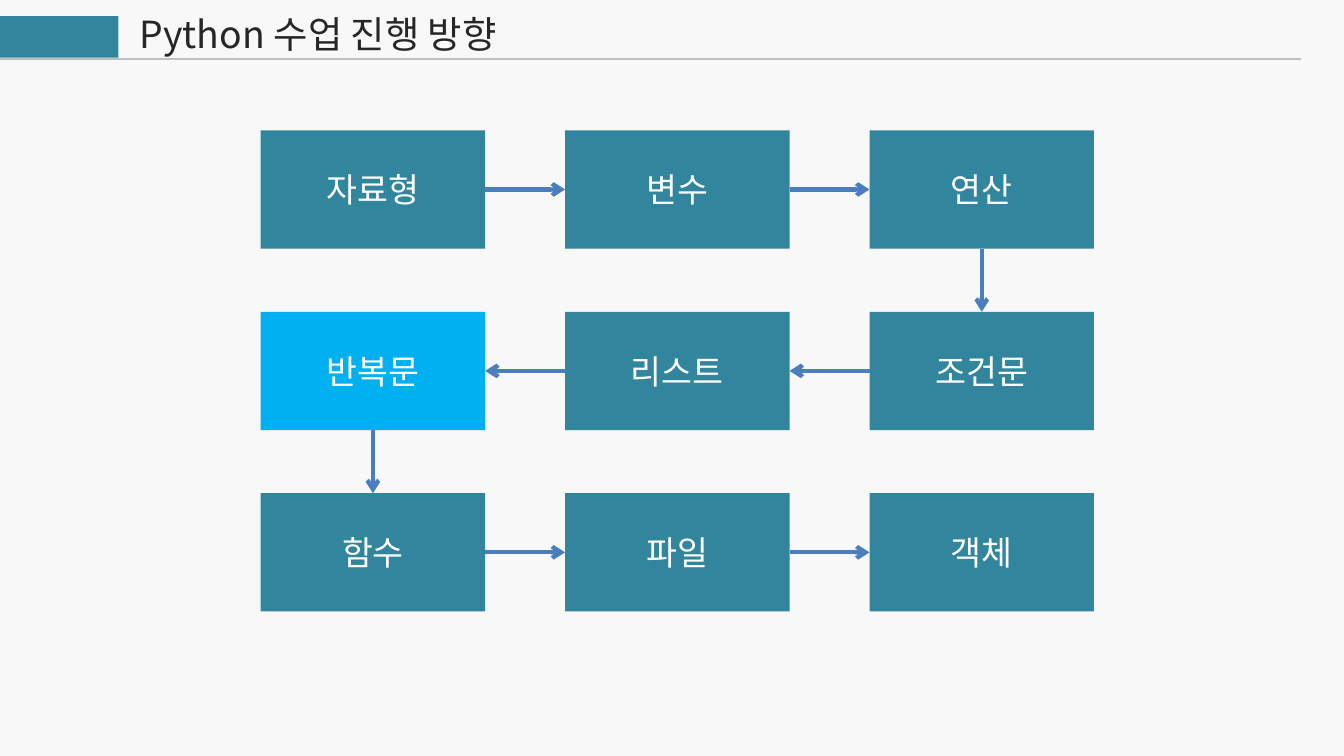
"""Build a slide showing the Python course topics as a winding flow of boxes."""
from itertools import pairwise

from lxml.etree import SubElement
from pptx import Presentation
from pptx.dml.color import RGBColor
from pptx.enum.shapes import MSO_CONNECTOR, MSO_SHAPE
from pptx.enum.text import MSO_ANCHOR as ANCHOR, MSO_AUTO_SIZE as FIT, PP_ALIGN as ALIGN
from pptx.oxml.ns import qn
from pptx.util import Inches, Pt

TITLE = "Python 수업 진행 방향"
TOPICS = [
    ["자료형", "변수", "연산"],
    ["조건문", "리스트", "반복문"],
    ["함수", "파일", "객체"],
]
CURRENT = "반복문"

FONT = "Noto Sans CJK KR"
TEAL = RGBColor(0x31, 0x85, 0x9C)
SKY = RGBColor(0x00, 0xB0, 0xF0)
BLUE = RGBColor(0x4B, 0x7E, 0xBC)
GRAY = RGBColor(0xBF, 0xBF, 0xBF)
INK = RGBColor(0x26, 0x26, 0x26)
WHITE = RGBColor(0xFF, 0xFF, 0xFF)
PAPER = RGBColor(0xF8, 0xF8, 0xF8)

SLIDE_W = 10
SLIDE_H = SLIDE_W * 9 / 16
LEFT, LAST_LEFT, TOP = 1.94, 6.47, 0.97
BOX_W, BOX_H = 1.67, 0.88
PITCH_X, PITCH_Y = (LAST_LEFT - LEFT) / 2, 1.35
SITE_TOP, SITE_LEFT, SITE_BOTTOM, SITE_RIGHT = range(4)


def write(tf, text, size, color, align, anchor):
    frame = {"word_wrap": True, "auto_size": FIT.NONE, "vertical_anchor": anchor}
    for name, value in frame.items():
        setattr(tf, name, value)
    p = tf.paragraphs[0]
    p.alignment = align
    r = p.add_run()
    r.text = text
    for name, value in {"name": FONT, "size": Pt(size)}.items():
        setattr(r.font, name, value)
    r.font.color.rgb = color
    SubElement(r.font._element, qn("a:ea"), typeface=FONT)


def add_box(slide, x, y, w, h, color):
    s = slide.shapes.add_shape(MSO_SHAPE.RECTANGLE, *map(Inches, (x, y, w, h)))
    s.shadow.inherit = False
    s.fill.solid()
    s.fill.fore_color.rgb = color
    s.line.fill.background()
    return s


def add_line(slide, color, width, ends=(0, 0, 0, 0)):
    s = slide.shapes.add_connector(MSO_CONNECTOR.STRAIGHT, *map(Inches, ends))
    s.line.color.rgb = color
    s.line.width = Pt(width)
    SubElement(s._element.spPr, qn("a:effectLst"))
    return s


def add_arrow(slide, start, end, sites):
    s = add_line(slide, BLUE, 2.25)
    s.begin_connect(start, sites[0])
    s.end_connect(end, sites[1])
    SubElement(s.line._get_or_add_ln(), qn("a:tailEnd"), type="arrow")


def add_header(slide):
    title = slide.shapes.title
    place = {"left": 0.94, "top": 0.03, "width": 4.85, "height": 0.44}
    for name, value in place.items():
        setattr(title, name, Inches(value))
    write(title.text_frame, TITLE, 20, INK, ALIGN.LEFT, ANCHOR.TOP)
    add_box(slide, -0.01, 0.12, 0.89, 0.31, TEAL)
    add_line(slide, GRAY, 1, (-0.01, 0.44, 9.68, 0.44))


def add_flow(slide):
    steps = []
    for row, topics in enumerate(TOPICS):
        for i, topic in enumerate(topics):
            col = len(topics) - 1 - i if row % 2 else i
            color = SKY if topic == CURRENT else TEAL
            s = add_box(slide, LEFT + col * PITCH_X, TOP + row * PITCH_Y, BOX_W, BOX_H, color)
            write(s.text_frame, topic, 18, WHITE, ALIGN.CENTER, ANCHOR.MIDDLE)
            steps.append((row, s))
    for (row, start), (next_row, end) in pairwise(steps):
        if row != next_row:
            sites = SITE_BOTTOM, SITE_TOP
        elif row % 2:
            sites = SITE_LEFT, SITE_RIGHT
        else:
            sites = SITE_RIGHT, SITE_LEFT
        add_arrow(slide, start, end, sites)


def main():
    prs = Presentation()
    prs.slide_width, prs.slide_height = Inches(SLIDE_W), Inches(SLIDE_H)
    slide = prs.slides.add_slide(prs.slide_layouts[5])
    slide.background.fill.solid()
    slide.background.fill.fore_color.rgb = PAPER
    add_header(slide)
    add_flow(slide)
    prs.save("out.pptx")


if __name__ == "__main__":
    main()
